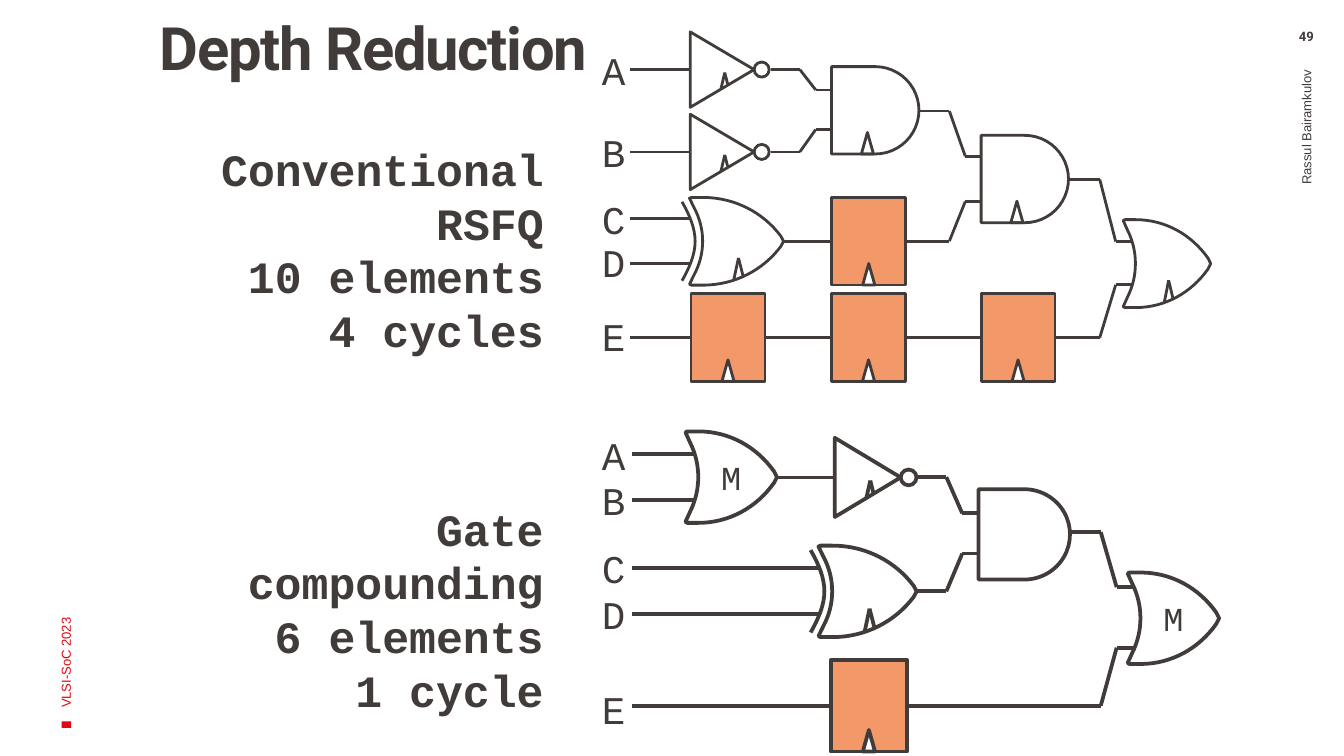
from dataclasses import dataclass
from itertools import pairwise

from lxml.etree import Element, SubElement
from pptx import Presentation
from pptx.dml.color import RGBColor
from pptx.enum.shapes import MSO_CONNECTOR, MSO_SHAPE as Shape
from pptx.enum.text import MSO_ANCHOR as Anchor, PP_ALIGN as Align
from pptx.oxml.ns import qn
from pptx.util import Pt

INK, RED, ORANGE, WHITE = "413C3A", "E30613", "F39869", "FFFFFF"
CLOCK_WIDTH, CLOCK_HEIGHT = 6.5, 11.5
OR_HALF = [(1, 0.5), (0.97, 0.44), (0.78, 0.17), (0.48, 0), (0.14, 0), (0.1, 0), (0.05, 0),
           (0.02, 0), (0, 0.01), (0.05, 0.12), (0.11, 0.24), (0.14, 0.37), (0.14, 0.5)]
OR_KINDS = "LCCLLC"
RAIL_HALF = [(-0.08, 0.05), (0, 0.2), (0.06, 0.35), (0.06, 0.5)]


def color(value):
    return RGBColor.from_string(value)


def apply(target, values):
    for name, value in values.items():
        setattr(target, name, value)


def write(frame, lines, size, font="Courier New", ink=INK, bold=False,
          align=Align.CENTER, anchor=Anchor.MIDDLE, wrap=True, insets=(7.2, 3.6, 7.2, 3.6)):
    sides = ("margin_left", "margin_top", "margin_right", "margin_bottom")
    apply(frame, dict(zip(sides, map(Pt, insets))))
    apply(frame, {"word_wrap": wrap, "vertical_anchor": anchor})
    for index, line in enumerate(lines):
        para = frame.paragraphs[0] if index == 0 else frame.add_paragraph()
        para.alignment = align
        span = para.add_run()
        span.text = line
        apply(span.font, {"name": font, "size": Pt(size), "bold": bold})
        span.font.color.rgb = color(ink)
    return frame


def add_text(page, box, lines, size, rotation=0, **style):
    shape = page.shapes.add_textbox(*map(Pt, box))
    shape.rotation = rotation
    return write(shape.text_frame, lines, size, **style)


def paint(shape, fill=None, pen=None):
    shape.shadow.inherit = False
    if fill:
        shape.fill.solid()
        shape.fill.fore_color.rgb = color(fill)
    else:
        shape.fill.background()
    if pen:
        shape.line.color.rgb = color(INK)
        shape.line.width = Pt(pen)
    else:
        shape.line.fill.background()
    return shape


def mirror(half):
    return half + [(x, 1 - y) for x, y in reversed(half[:-1])]


def bend(shape, kinds):
    segments = iter(list(shape._element.iter(qn("a:lnTo"))))
    for kind in kinds:
        first = next(segments)
        if kind == "C":
            bezier = Element(qn("a:cubicBezTo"))
            first.addprevious(bezier)
            for segment in (first, next(segments), next(segments)):
                bezier.append(segment[0])
                segment.getparent().remove(segment)


@dataclass
class Circuit:
    page: object
    left: float
    top: float
    pen: float
    lead: float

    def place(self, x, y):
        return Pt(self.left + x), Pt(self.top + y)

    def preset(self, kind, box, fill=None):
        x, y, width, height = box
        shape = self.page.shapes.add_shape(kind, *self.place(x, y), Pt(width), Pt(height))
        return paint(shape, fill, self.pen)

    def outline(self, box, points, kinds, closed):
        x, y, width, height = box
        spots = [self.place(x + u * width, y + v * height) for u, v in points]
        builder = self.page.shapes.build_freeform(*spots[0], scale=1.0)
        builder.add_line_segments(spots[1:], close=closed)
        shape = builder.convert_to_shape()
        bend(shape, kinds)
        return paint(shape, None, self.pen)

    def wire(self, points, source=None, target=None):
        lines = []
        for start, end in pairwise(points):
            line = self.page.shapes.add_connector(
                MSO_CONNECTOR.STRAIGHT, *self.place(*start), *self.place(*end))
            line.line.color.rgb = color(INK)
            line.line.width = Pt(self.pen)
            SubElement(line._element.spPr, qn("a:effectLst"))
            lines.append(line)
        if source is not None:
            lines[0].begin_connect(source, 3)
        if target is not None:
            lines[-1].end_connect(target, 1)

    def step(self, start, end, source=None):
        (x, y), (end_x, end_y) = start, end
        self.wire([(x, y), (end_x - 17, y), (end_x - 8.5, end_y), (end_x, end_y)], source)

    def input(self, name, y, end, target=None, drop=0):
        box = (self.left + 0.4, self.top + y + drop - 16, 25, 32)
        add_text(self.page, box, [name], 21, wrap=False)
        self.wire([(self.lead, y), (end, y)], target=target)

    def tick(self, box, *marks):
        x, y, width, height = box
        apex, *feet = [(x + u * width, y + v * height) for u, v in marks]
        for foot in feet:
            self.wire([apex, foot])

    def clock(self, box, share, fill=None):
        x, y, width, height = box
        self.preset(Shape.ISOSCELES_TRIANGLE, (
            x + share * width - CLOCK_WIDTH / 2, y + height - CLOCK_HEIGHT,
            CLOCK_WIDTH, CLOCK_HEIGHT), fill)

    def inverter(self, box):
        x, y, width, height = box
        shift = (width - height) / 2
        self.preset(Shape.ISOSCELES_TRIANGLE, (x + shift, y - shift, height, width)).rotation = 90
        bubble = height / 5
        self.preset(Shape.OVAL, (x + width, y + (height - bubble) / 2, bubble, bubble))
        self.tick(box, (0.54, 0.54), (0.48, 0.76), (0.585, 0.69))

    def and_gate(self, box, clocked=True):
        self.preset(Shape.FLOWCHART_DELAY, box, None if clocked else WHITE)
        if clocked:
            self.clock(box, 0.41)

    def register(self, box):
        body = self.preset(Shape.RECTANGLE, box, ORANGE)
        self.clock(box, 0.5, WHITE)
        return body

    def or_gate(self, box, label=None):
        body = self.outline(box, mirror(OR_HALF)[:-1], OR_KINDS + OR_KINDS[:0:-1], True)
        if label:
            write(body.text_frame, [label], 18, insets=(0, 0, 0, 0))
        else:
            self.tick(box, (0.52, 0.69), (0.47, 0.94), (0.57, 0.9))

    def xor_gate(self, box):
        self.or_gate(box)
        self.outline(box, mirror(RAIL_HALF), "CC", False)


def conventional_circuit(group, left, top):
    circuit = Circuit(group, left, top, 1.5, 22.7)
    columns = (55.2, 130.5, 210.6)
    for name, y, gate_y in (("A", 20.3, 31.2), ("B", 64.4, 52.4)):
        circuit.input(name, y, columns[0])
        circuit.inverter((54.8, y - 20.2, 34.2, 40.4))
        circuit.step((98.3, y), (columns[1], gate_y))
    for name, y, drop in (("C", 100, 0), ("D", 124.1, -0.7)):
        circuit.input(name, y, columns[0], drop=drop)
    circuit.and_gate((columns[1], 18.7, 46.8, 46.8))
    circuit.and_gate((columns[2], 55.5, 46.8, 46.8))
    circuit.xor_gate((54.4, 88.8, 50.4, 47))
    delay = circuit.register((columns[1], 88.7, 39.8, 47))
    circuit.wire([(104.8, 112.2), (columns[1], 112.2)], target=delay)
    circuit.step((177.7, 42.5), (columns[2], 66.7))
    circuit.step((170.3, 112.2), (columns[2], 91), delay)
    chain = [circuit.register((x, 140.3, 39.6, 47)) for x in columns]
    circuit.input("E", 163.8, columns[0], chain[0], drop=-1)
    for index, (source, target) in enumerate(pairwise(chain)):
        circuit.wire([(columns[index] + 39.6, 163.8), (columns[index + 1], 163.8)], source, target)
    circuit.step((257.8, 79.2), (291.2, 112.4))
    circuit.step((250.2, 163.8), (291.2, 135.6), chain[-1])
    circuit.or_gate((286.7, 100.7, 46.9, 47.1))


def compound_circuit(group, left, top):
    circuit = Circuit(group, left, top, 2, 23.8)
    for name, y, end in (("A", 27.4, 57.2), ("B", 51.8, 57.2), ("C", 88.2, 123.5), ("D", 113, 123.5)):
        circuit.input(name, y, end)
    circuit.or_gate((52.2, 15.1, 49, 49), "M")
    circuit.wire([(101.2, 39.8), (132.1, 39.8)])
    circuit.inverter((132.2, 18.6, 35.3, 42.4))
    circuit.xor_gate((123.5, 76.3, 52.6, 49))
    circuit.step((176, 39.6), (209, 59))
    circuit.step((176, 100.8), (209, 80.6))
    circuit.and_gate((209.2, 46.1, 49, 48.4), clocked=False)
    delay = circuit.register((130, 137.6, 41, 49))
    circuit.input("E", 162.1, 130, delay, drop=1.7)
    circuit.step((258.2, 69.1), (291.7, 98.6))
    circuit.step((171, 162.1), (291.7, 131), delay)
    circuit.or_gate((289.1, 90.7, 49, 49), "M")


def title(page, box):
    frame = add_text(page, box, ["Depth Reduction"], 32, font="Roboto", bold=True,
                     align=Align.LEFT, anchor=Anchor.TOP, insets=(14.4, 0, 5.8, 3.6))
    para = frame.paragraphs[0]
    para.line_spacing = 0.9
    para.runs[0]._r.get_or_add_rPr().set("spc", "-70")


def margin_notes(page):
    marker = page.shapes.add_shape(Shape.RECTANGLE, *map(Pt, (33.8, 385.7, 3.6, 5)))
    marker.rotation = 270
    paint(marker, RED)
    add_text(page, (-96.2, 218.9, 262.8, 72), ["VLSI-SoC 2023"], 7, 270,
             font="Arial", ink=RED, align=Align.LEFT)
    add_text(page, (560.4, 149.5, 278.6, 40.3), ["Rassul Bairamkulov"], 7, 270,
             font="Arial", align=Align.RIGHT)
    add_text(page, (679.7, 15.1, 40.3, 13), ["49"], 7, font="Roboto", bold=True,
             anchor=Anchor.TOP, insets=(7.2, 0, 7.2, 0))


def caption(page, box, lines):
    add_text(page, box, lines, 24, bold=True, align=Align.RIGHT, anchor=Anchor.TOP)


def main():
    deck = Presentation()
    apply(deck, {"slide_width": Pt(720), "slide_height": Pt(405)})
    page = deck.slides.add_slide(deck.slide_layouts[6])
    margin_notes(page)
    title(page, (71.3, 10.1, 491, 43.2))
    conventional_circuit(page.shapes.add_group_shape(), 315, 17)
    compound_circuit(page.shapes.add_group_shape(), 315, 216)
    caption(page, (67.2, 72.3, 231.1, 94.3), ["Conventional RSFQ", "10 elements", "4 cycles"])
    caption(page, (80.2, 265, 218.1, 94.3), ["Gate compounding", "6 elements", "1 cycle"])
    deck.save("out.pptx")


if __name__ == "__main__":
    main()
